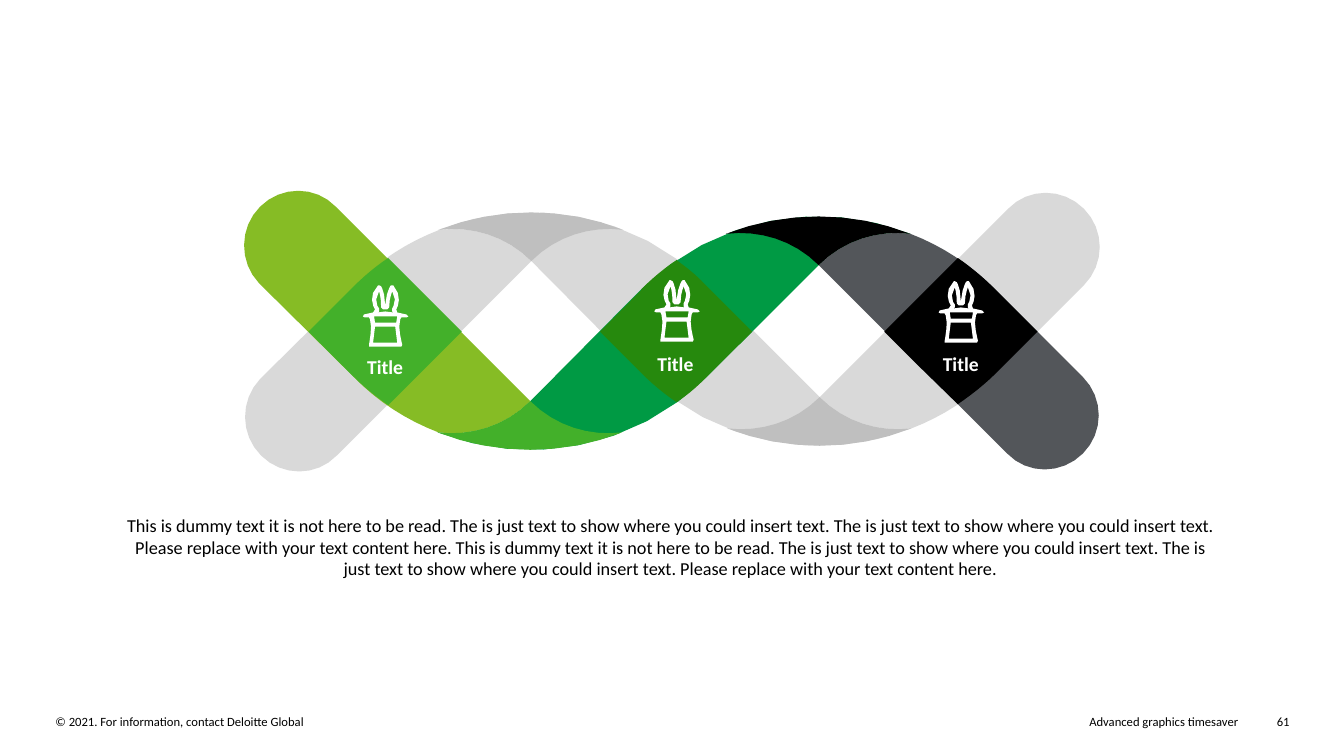
from math import dist

from pptx import Presentation
from pptx.dml.color import RGBColor
from pptx.enum.text import PP_ALIGN as Align
from pptx.util import Emu, Pt

PX = 9144  # one px is a hundredth of an inch
AXIS_SUM = 657  # y + mirrored y for the two strands
GREY, DARK_GREY, WHITE, BLACK = "D9D9D9", "BFBFBF", "FFFFFF", "000000"

# Outlines: a start point, then lines (x, y) and curves (x1, y1, x2, y2, x, y)
MIDDLE_BAND = [(903, 232), (814, 197, 709, 215, 636, 287), (526, 398),
               (501, 423, 467, 433, 434, 429), (524, 464, 629, 446, 701, 374),
               (812, 263), (837, 238, 871, 228, 903, 232)]
LEFT_ARM = [(435, 429), (404, 417, 375, 399, 351, 374), (257, 281),
            (237, 260, 237, 226, 258, 205), (279, 184, 313, 184, 333, 205),
            (526, 398), (501, 423, 467, 433, 435, 429)]
LEFT_FOLD = [(617, 429), (559, 452, 493, 452, 434, 429),
             (467, 433, 501, 423, 526, 398), (551, 423, 585, 433, 617, 429)]
RIGHT_ARM = [(903, 232), (934, 244, 962, 262, 987, 287), (1074, 374),
             (1095, 395, 1095, 429, 1074, 450), (1053, 471, 1019, 471, 999, 450),
             (812, 263), (837, 238, 871, 228, 903, 232)]
RIGHT_FOLD = [(720, 232), (779, 209, 845, 209, 903, 232),
              (871, 228, 837, 238, 812, 263), (787, 238, 753, 228, 720, 232)]
STRAND = [MIDDLE_BAND, LEFT_ARM, LEFT_FOLD, RIGHT_ARM, RIGHT_FOLD]
GREY_COLORS = [GREY, GREY, DARK_GREY, GREY, DARK_GREY]
BRIGHT_COLORS = ["009A44", "86BC25", "43B02A", "53565A", BLACK]

LEFT_CROSSING = [(350, 373), (361, 384, 372, 393, 385, 402), (458, 329),
                 (385, 256), (373, 264, 361, 274, 350, 285), (306, 329)]
MIDDLE_CROSSING = [(637, 287), (595, 329), (636, 370),
                   (647, 381, 659, 391, 671, 399), (682, 392, 692, 383, 701, 374),
                   (746, 329), (701, 284), (692, 274, 682, 266, 671, 258),
                   (659, 266, 647, 276, 636, 287)]
RIGHT_CROSSING = [(911, 363), (950, 401), (963, 392, 976, 382, 987, 371),
                  (1029, 329), (987, 287), (975, 275, 963, 265, 950, 256), (877, 329)]

HAT_OUTLINE = [
    (403, 312), (394, 310), (393, 307), (395, 304, 399, 293, 390, 283),
    (388, 283), (387, 284), (387, 284, 383, 290, 382, 303),
    (382, 290, 378, 284, 378, 284), (376, 283), (375, 283),
    (365, 293, 370, 304, 372, 307), (370, 310), (361, 312), (360, 314),
    (362, 315), (366, 315), (366, 315, 368, 317, 368, 324),
    (368, 331, 366, 342, 366, 342), (366, 344), (368, 344), (398, 344),
    (399, 342), (399, 342, 396, 331, 396, 324), (396, 317, 398, 315, 398, 315),
    (403, 315), (405, 314)]
HAT_EARS = [
    (376, 306), (375, 306, 370, 297, 376, 289), (377, 292, 378, 297, 378, 305),
    (380, 307), (384, 307), (386, 305), (386, 297, 388, 292, 389, 289),
    (395, 297, 389, 306, 389, 306), (389, 309), (390, 310), (382, 309),
    (375, 310), (376, 309)]
HAT_CROWN = [(370, 340), (372, 324), (392, 324), (394, 340)]
HAT_BAND = [(393, 320), (372, 320), (371, 314), (394, 314)]
HAT = [HAT_OUTLINE, HAT_EARS, HAT_CROWN, HAT_BAND]

BODY = ("This is dummy text it is not here to be read. "
        "The is just text to show where you could insert text. "
        "The is just text to show where you could insert text. "
        "Please replace with your text content here. ")


def rgb(color):
    return RGBColor.from_string(color)


def move(outline, dx, dy, flip=False):
    """Shift an outline, after turning it upside down if asked."""
    moved = []
    for step in outline:
        pairs = zip(step[::2], step[1::2])
        moved.append(tuple(v for x, y in pairs
                           for v in (x + dx, (AXIS_SUM - y if flip else y) + dy)))
    return moved


def flatten(outline):
    """Turn lines and cubic curves into points in EMU, longer curves more finely."""
    points = [outline[0]]
    for step in outline[1:]:
        if len(step) == 2:
            points.append(step)
            continue
        start = points[-1]
        count = min(8, 1 + int(dist(start, step[-2:]) / 8))
        for i in range(1, count + 1):
            t = i / count
            weights = ((1 - t) ** 3, 3 * t * (1 - t) ** 2, 3 * t * t * (1 - t), t ** 3)
            points.append(tuple(
                sum(w * v for w, v in zip(weights, (start[k], *step[k::2])))
                for k in (0, 1)))
    return [(round(x * PX), round(y * PX)) for x, y in points]


class Page:
    font = "Calibri"

    def __init__(self, deck):
        self.slide = deck.slides.add_slide(deck.slide_layouts[6])

    def outline(self, contours, color):
        first, *others = [flatten(contour) for contour in contours]
        builder = self.slide.shapes.build_freeform(*first[0], scale=1.0)
        builder.add_line_segments(first[1:], close=True)
        for points in others:
            builder.move_to(*points[0])
            builder.add_line_segments(points[1:], close=True)
        shape = builder.convert_to_shape()
        shape.shadow.inherit = False
        shape.fill.solid()
        shape.fill.fore_color.rgb = rgb(color)
        shape.line.fill.background()

    def text(self, words, left, top, width, height, size=9, color=BLACK,
             bold=False, align=Align.LEFT, insets=(0, 0, 0, 0)):
        box = self.slide.shapes.add_textbox(
            *(Emu(v * PX) for v in (left, top, width, height)))
        frame = box.text_frame
        frame.word_wrap = True
        (frame.margin_left, frame.margin_top,
         frame.margin_right, frame.margin_bottom) = (Emu(v * PX) for v in insets)
        paragraph = frame.paragraphs[0]
        paragraph.alignment = align
        run = paragraph.add_run()
        run.text = words
        run.font.name = self.font
        run.font.size = Pt(size)
        run.font.bold = bold
        run.font.color.rgb = rgb(color)


def main():
    deck = Presentation()
    deck.slide_width, deck.slide_height = Emu(1333 * PX), Emu(750 * PX)
    page = Page(deck)

    # Footer
    page.text("© 2021. For information, contact Deloitte Global", 55, 708, 586, 15)
    page.text("Advanced graphics timesaver", 693, 708, 535, 15, align=Align.RIGHT)
    page.text("61", 1245, 708, 34, 15, align=Align.RIGHT)

    # Grey strand mirrors the bright one
    for part, color in zip(STRAND, GREY_COLORS):
        page.outline([move(part, 1, 0, flip=True)], color)
    for part, color in zip(STRAND, BRIGHT_COLORS):
        page.outline([part], color)

    # Crossings, each with a title and a hat
    crossings = [(LEFT_CROSSING, "43B02A", 312, 347, 0, 0),
                 (MIDDLE_CROSSING, "26890D", 600, 344, 289, -5),
                 (RIGHT_CROSSING, BLACK, 883, 344, 571, -4)]
    for crossing, color, title_left, title_top, hat_dx, hat_dy in crossings:
        page.outline([crossing], color)
        page.text("Title", title_left, title_top, 140, 36, size=14, color=WHITE,
                  bold=True, align=Align.CENTER, insets=(10, 5, 10, 5))
        page.outline([move(part, hat_dx, hat_dy) for part in HAT], WHITE)

    # Body text
    page.text((BODY * 2).strip(), 114, 505, 1107, 75, size=13,
              align=Align.CENTER, insets=(10, 5, 16, 4))

    deck.save("out.pptx")


if __name__ == "__main__":
    main()
